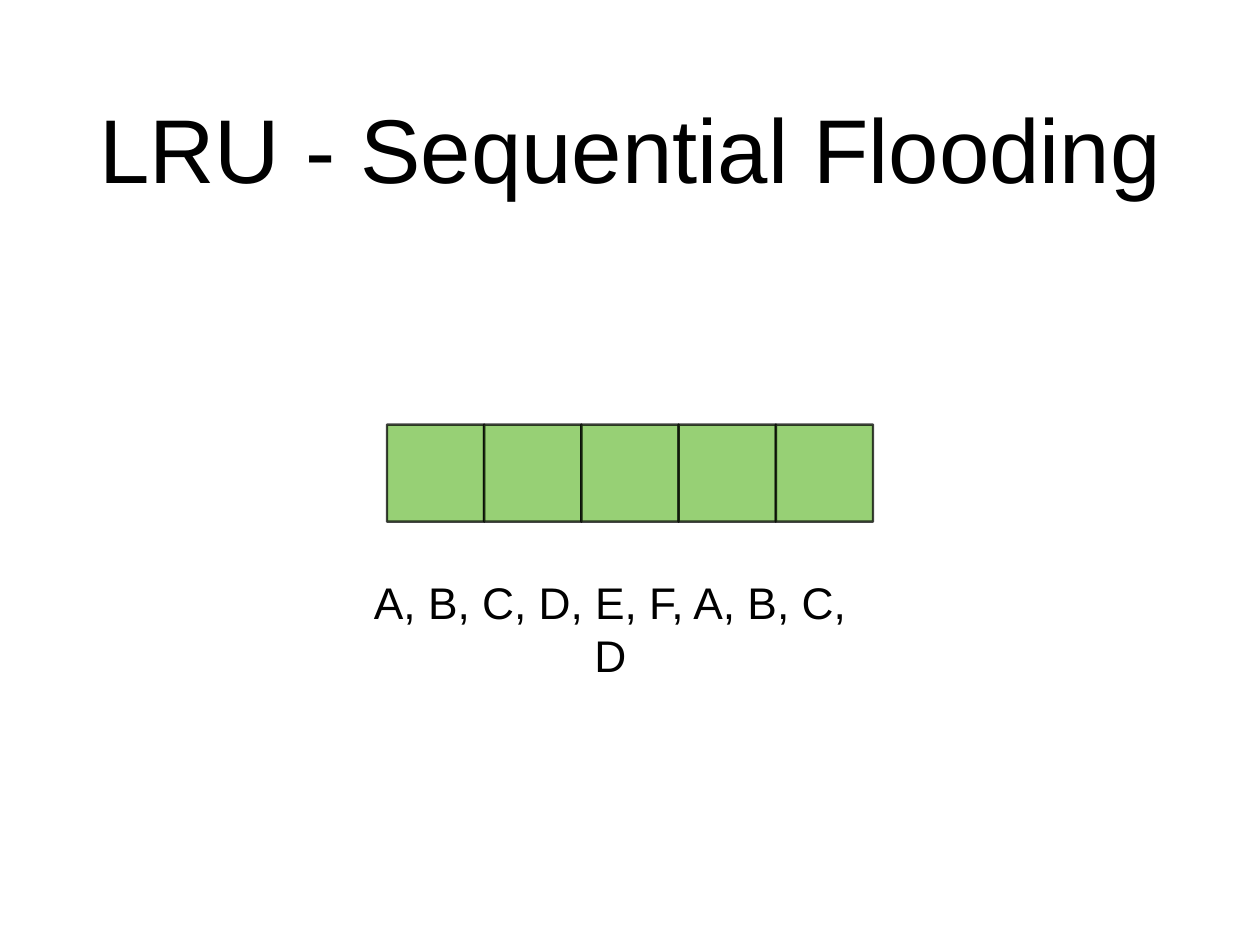
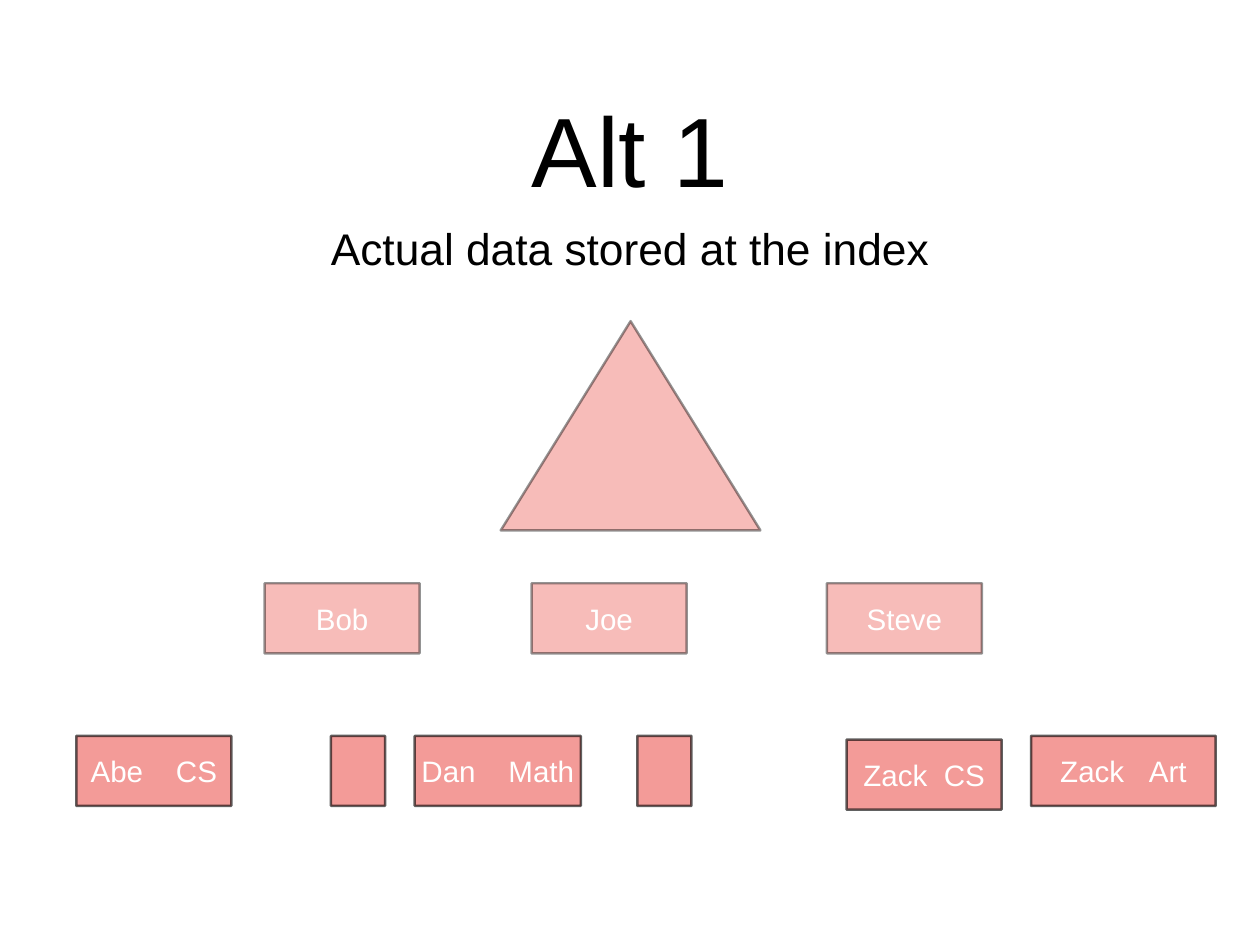
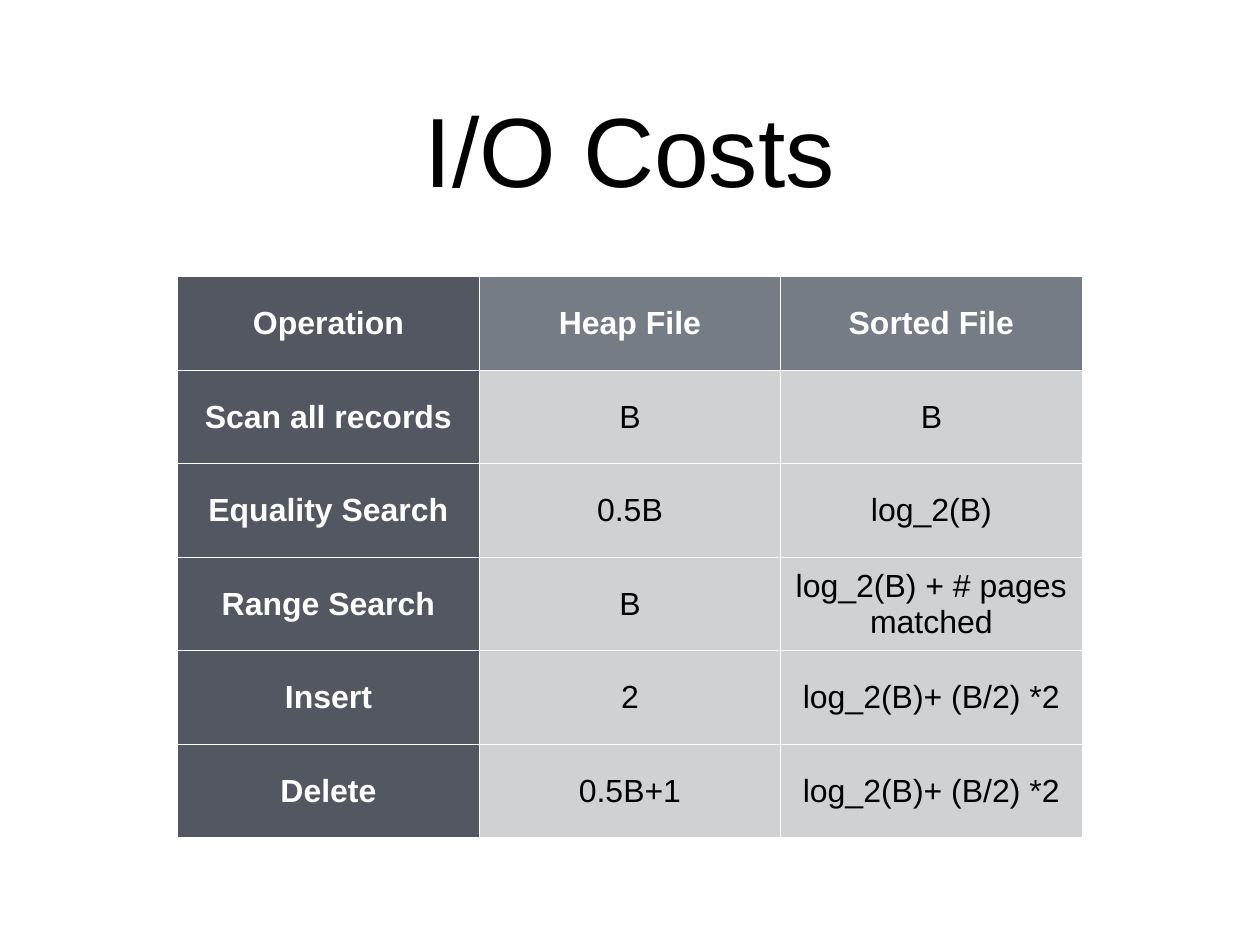
from dataclasses import dataclass
from typing import Any

from lxml.etree import SubElement
from pptx import Presentation
from pptx.dml.color import RGBColor
from pptx.enum.shapes import MSO_SHAPE as Kind
from pptx.enum.text import MSO_ANCHOR as Anchor, MSO_AUTO_SIZE as Fit, PP_ALIGN as Align
from pptx.oxml.ns import qn
from pptx.util import Pt

# Shared look
WIDE, HIGH = 1024, 768
FONT = "Arial"
HUES = {
    "ink": "000000", "white": "FFFFFF", "green": "70BF41", "red": "EC5D57",
    "head": "767C85", "side": "535761", "cell": "D0D1D2",
}
BAND = (75, 35, 874, 170)


@dataclass
class Block:
    """A filled shape; gap widens the space between two words."""
    left: float
    top: float
    width: float
    height: float
    hue: str
    alpha: int
    text: str = ""
    gap: float = 0
    kind: Kind = Kind.RECTANGLE


def tint(name: str) -> RGBColor:
    return RGBColor.from_string(HUES[name])


def put(frame: Any, text: str, *, size: float = 36, hue: str = "ink",
        bold: bool = False, gap: float = 0, anchor: Anchor = Anchor.MIDDLE,
        pads: tuple = (0, 0, 0, 0)) -> None:
    """Write one centred paragraph into a text frame."""
    frame.word_wrap = True
    frame.auto_size = Fit.NONE
    frame.vertical_anchor = anchor
    (frame.margin_left, frame.margin_top,
     frame.margin_right, frame.margin_bottom) = map(Pt, pads)
    para = frame.paragraphs[0]
    para.alignment = Align.CENTER
    for part in text.partition(" ") if gap else [text]:
        run = para.add_run()
        run.text = part
        font = run.font
        font.name, font.size, font.bold = FONT, Pt(size), bold
        font.color.rgb = tint(hue)
        if part == " ":
            font._element.set("spc", str(round(gap * 100)))


def start(deck: Any, title: str, size: float = 80) -> Any:
    """Add a title-only slide and format its title."""
    slide = deck.slides.add_slide(deck.slide_layouts[5])
    head = slide.shapes.title
    head.left, head.top, head.width, head.height = map(Pt, BAND)
    put(head.text_frame, title, size=size)
    return slide


def label(slide: Any, area: tuple, text: str, **form: Any) -> None:
    put(slide.shapes.add_textbox(*map(Pt, area)).text_frame, text, **form)


def draw(slide: Any, item: Block) -> None:
    """Draw a block with an equally see-through fill and outline."""
    area = (item.left, item.top, item.width, item.height)
    shape = slide.shapes.add_shape(item.kind, *map(Pt, area))
    shape.shadow.inherit = False
    shape.fill.solid()
    shape.fill.fore_color.rgb = tint(item.hue)
    shape.line.color.rgb = tint("ink")
    shape.line.width = Pt(2)
    for clr in shape._element.spPr.iter(qn("a:srgbClr")):
        SubElement(clr, qn("a:alpha")).set("val", str(item.alpha * 1000))
    if item.text:
        put(shape.text_frame, item.text, size=24, hue="white", gap=item.gap)


def edge(cell: Any) -> None:
    """Give a table cell thin white borders."""
    props = cell._tc.get_or_add_tcPr()
    for spot, side in enumerate(("L", "R", "T", "B")):
        line = props.makeelement(qn(f"a:ln{side}"), {"w": str(Pt(1))})
        fill = SubElement(line, qn("a:solidFill"))
        SubElement(fill, qn("a:srgbClr")).set("val", HUES["white"])
        props.insert(spot, line)


def flood(deck: Any) -> None:
    slide = start(deck, "LRU - Sequential Flooding", 73.6)
    # Buffer frames, centred as one row
    count, side = 5, 79
    left = (WIDE - count * side) / 2
    for i in range(count):
        draw(slide, Block(left + i * side, 345, side, side, "green", 72))
    # Page requests
    label(slide, (299, 485, 426, 51), "A, B, C, D, E, F, A, B, C, D",
          pads=(4, 4, 36, 4))


def index(deck: Any) -> None:
    slide = start(deck, "Alt 1")
    label(slide, (75, 180, 874, 70), "Actual data stored at the index",
          anchor=Anchor.TOP)
    # Tree
    draw(slide, Block(407, 261, 211, 170, "red", 41, kind=Kind.ISOSCELES_TRIANGLE))
    # Inner keys
    for left, name in ((215, "Bob"), (432, "Joe"), (672, "Steve")):
        draw(slide, Block(left, 474, 126, 57, "red", 41, name))
    # Leaf records: left, top, width, text, word gap
    leaves = (
        (62, 598, 126, "Abe CS", 20),
        (269, 598, 44, "", 0),
        (337, 598, 135, "Dan Math", 20),
        (518, 598, 44, "", 0),
        (688, 601, 126, "Zack CS", 6.67),
        (838, 598, 150, "Zack Art", 13.33),
    )
    for left, top, width, text, gap in leaves:
        draw(slide, Block(left, top, width, 57, "red", 61, text, gap))


def costs(deck: Any) -> None:
    slide = start(deck, "I/O Costs")
    rows = (
        ("Operation", "Heap File", "Sorted File"),
        ("Scan all records", "B", "B"),
        ("Equality Search", "0.5B", "log_2(B)"),
        ("Range Search", "B", "log_2(B) + # pages matched"),
        ("Insert", "2", "log_2(B)+ (B/2) *2"),
        ("Delete", "0.5B+1", "log_2(B)+ (B/2) *2"),
    )
    wide, high = 245, 76
    area = (144.5, 225, wide * len(rows[0]), high * len(rows))
    table = slide.shapes.add_table(len(rows), len(rows[0]), *map(Pt, area)).table
    table.first_row = table.horz_banding = False
    # Dark first column, grey header, light body
    for r, row in enumerate(rows):
        for c, text in enumerate(row):
            cell = table.cell(r, c)
            fill = "side" if c == 0 else "head" if r == 0 else "cell"
            bold = fill != "cell"
            put(cell.text_frame, text, size=26, bold=bold,
                hue="white" if bold else "ink")
            cell.vertical_anchor = Anchor.MIDDLE
            cell.margin_left = cell.margin_right = Pt(4)
            cell.margin_top = cell.margin_bottom = Pt(4)
            cell.fill.solid()
            cell.fill.fore_color.rgb = tint(fill)
            edge(cell)


def main() -> None:
    deck = Presentation()
    deck.slide_width, deck.slide_height = Pt(WIDE), Pt(HIGH)
    for build in (flood, index, costs):
        build(deck)
    deck.save("out.pptx")


if __name__ == "__main__":
    main()
